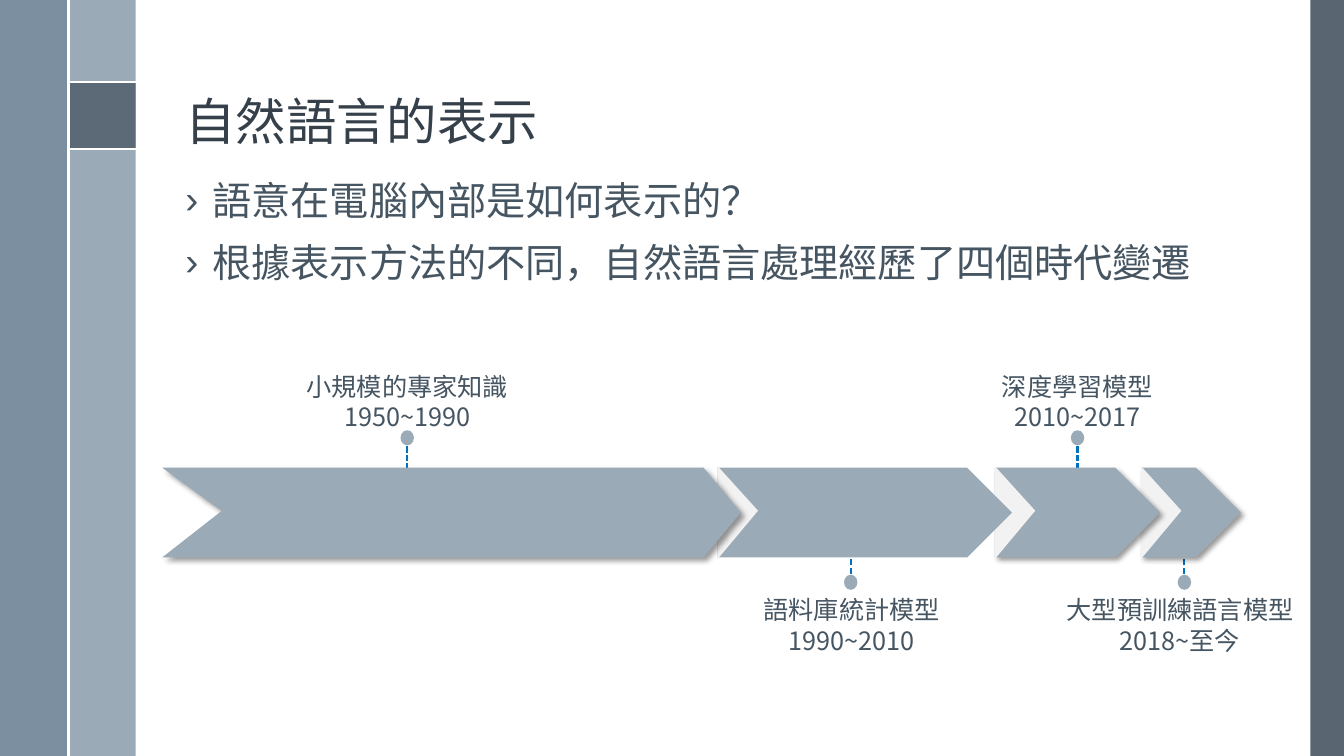
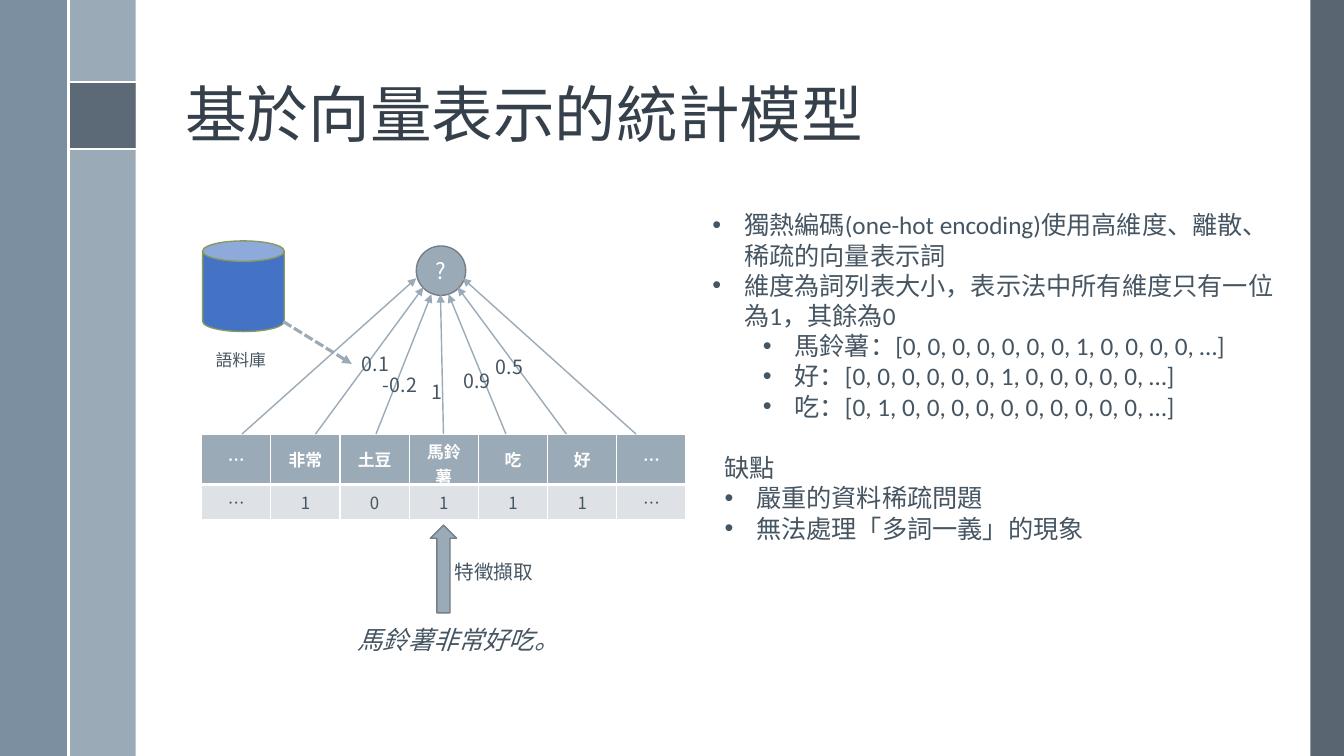
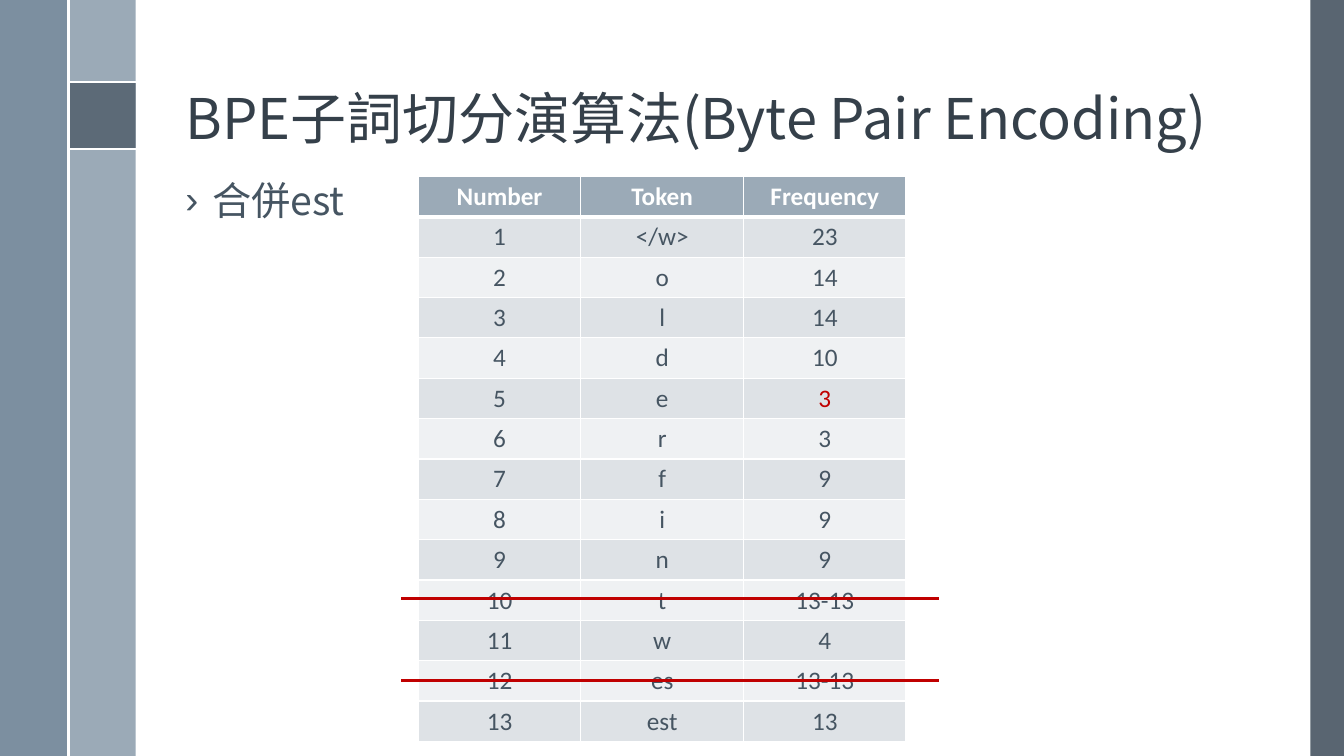
from dataclasses import dataclass, replace

from lxml.etree import SubElement
from pptx import Presentation
from pptx.dml.color import RGBColor
from pptx.enum.dml import MSO_LINE
from pptx.enum.shapes import MSO_CONNECTOR, MSO_SHAPE
from pptx.enum.text import MSO_ANCHOR, PP_ALIGN
from pptx.oxml import parse_xml
from pptx.oxml.ns import nsdecls, qn
from pptx.util import Emu, Inches, Pt

COLUMNS, ROWS = 40, 22.5  # square grid, three units to the inch


@dataclass(frozen=True)
class TextStyle:
    size: float
    latin: str
    east_asian: str
    color: str
    bold: bool = False
    italic: bool = False


class Theme:
    white = "FFFFFF"
    accent = "9BAAB7"
    rail = "6A8093"
    slate = "475562"
    outline = "737E87"
    ink = "465562"
    notch = "F2F2F2"
    bands = ("DEE2E6", "EFF1F3")
    stem = "0070C0"
    red = "C00000"
    store = "4472C4"
    store_edge = "889A60"

    sans_tc, sans_sc = "Noto Sans CJK TC", "Noto Sans CJK SC"
    title = TextStyle(44, sans_tc, sans_tc, "35404A")
    body = TextStyle(28, sans_tc, sans_tc, ink)
    label = TextStyle(18, sans_sc, sans_sc, ink)
    small = replace(label, size=14)
    tiny = replace(label, size=12)
    caption = TextStyle(14, "Arial", sans_sc, ink)
    node = replace(label, size=16, color=white)
    notes = TextStyle(18, "Calibri", sans_tc, ink)


@dataclass(frozen=True)
class Bullet:
    text: str
    margin: float
    hanging: float
    character: str = "•"


@dataclass(frozen=True)
class Era:
    name: str
    years: str
    left: float
    width: float
    stem: float
    label_center: float
    above: bool


def grid(units):
    return Emu(round(Inches(units / 3)))


def rgb(color):
    return RGBColor.from_string(color)


def style_paragraph(paragraph, style):
    font = paragraph.font
    font.size, font.name = Pt(style.size), style.latin
    font.bold, font.italic = style.bold, style.italic
    font.color.rgb = rgb(style.color)
    defaults = paragraph._p.pPr.find(qn("a:defRPr"))
    SubElement(defaults, qn("a:ea"), typeface=style.east_asian)


def add_bullet(paragraph, bullet):
    properties = paragraph._p.get_or_add_pPr()
    properties.set("marL", str(grid(bullet.margin)))
    properties.set("indent", str(-grid(bullet.hanging)))
    SubElement(properties, qn("a:buFont"), typeface="Arial")
    SubElement(properties, qn("a:buChar"), char=bullet.character)


def write(frame, items, style, align=PP_ALIGN.LEFT, line_spacing=None, space_before=0):
    """Fill a text frame with strings and Bullets, one paragraph each."""
    for index, item in enumerate(items):
        paragraph = frame.add_paragraph() if index else frame.paragraphs[0]
        if isinstance(item, Bullet):
            paragraph.text = item.text
            add_bullet(paragraph, item)
        else:
            paragraph.text = item
        paragraph.alignment = align
        if line_spacing:
            paragraph.line_spacing = line_spacing
        if index and space_before:
            paragraph.space_before = Pt(space_before)
        style_paragraph(paragraph, style)


def add_text(slide, box, items, style, anchor=MSO_ANCHOR.TOP, **layout):
    frame = slide.shapes.add_textbox(*map(grid, box)).text_frame
    frame.word_wrap = True
    frame.vertical_anchor = anchor
    write(frame, items, style, **layout)


def paint(shape, fill, line=None, opacity=None):
    shape.shadow.inherit = False
    shape.fill.solid()
    shape.fill.fore_color.rgb = rgb(fill)
    if opacity:
        color = shape._element.spPr.find(qn("a:solidFill"))[0]
        SubElement(color, qn("a:alpha"), val=str(opacity * 1000))
    if line:
        shape.line.color.rgb = rgb(line)
        shape.line.width = Pt(1)
    else:
        shape.line.fill.background()


def add_shape(slide, kind, box, fill, line=None, opacity=None):
    shape = slide.shapes.add_shape(kind, *map(grid, box))
    paint(shape, fill, line, opacity)
    return shape


def cast_shadow(shape):
    effects = shape._element.spPr.find(qn("a:effectLst"))
    effects.append(parse_xml(
        f'<a:outerShdw {nsdecls("a")} blurRad="{Pt(4)}" dist="{Pt(3)}" dir="2700000" '
        'algn="tl" rotWithShape="0"><a:srgbClr val="000000"><a:alpha val="40000"/>'
        '</a:srgbClr></a:outerShdw>'))


def add_line(slide, start, end, color, width, dashed=False, arrow=False):
    connector = slide.shapes.add_connector(
        MSO_CONNECTOR.STRAIGHT, *map(grid, (*start, *end)))
    connector.line.color.rgb = rgb(color)
    connector.line.width = Pt(width)
    if dashed:
        connector.line.dash_style = MSO_LINE.SQUARE_DOT
    properties = connector._element.spPr
    if arrow:
        SubElement(properties.find(qn("a:ln")), qn("a:tailEnd"), type="triangle")
    SubElement(properties, qn("a:effectLst"))


def set_borders(cell, top, bottom):
    properties = cell._tc.get_or_add_tcPr()
    for index, (side, width) in enumerate(zip("LRTB", (1, 1, top, bottom))):
        properties.insert(index, parse_xml(
            f'<a:ln{side} {nsdecls("a")} w="{Pt(width)}"><a:solidFill>'
            f'<a:srgbClr val="{Theme.white}"/></a:solidFill></a:ln{side}>'))


def add_table(slide, left, top, column_width, row_heights, rows, style,
              anchor=MSO_ANCHOR.TOP, highlights=()):
    """Draw a banded table; highlights holds (row, column) pairs set in red."""
    count = len(rows[0])
    table = slide.shapes.add_table(
        len(rows), count, grid(left), grid(top),
        grid(column_width * count), grid(sum(row_heights))).table
    for column in table.columns:
        column.width = grid(column_width)
    header_style = replace(style, color=Theme.white, bold=True)
    for r, values in enumerate(rows):
        table.rows[r].height = grid(row_heights[r])
        for c, value in enumerate(values):
            cell = table.cell(r, c)
            cell.vertical_anchor = anchor
            cell.fill.solid()
            cell.fill.fore_color.rgb = rgb(Theme.bands[(r - 1) % 2] if r else Theme.accent)
            set_borders(cell, top=3 if r == 1 else 1, bottom=1 if r else 3)
            cell_style = style if r else header_style
            if (r, c) in highlights:
                cell_style = replace(style, color=Theme.red)
            write(cell.text_frame, [value], cell_style, align=PP_ALIGN.CENTER)


def add_framed_slide(presentation, title, title_size):
    """Add a blank slide with the side rails and the title."""
    slide = presentation.slides.add_slide(presentation.slide_layouts[6])
    inner, marker, rail = 2.04, 2.43, 2
    for box, color, opacity in (
        ((COLUMNS - 1, 0, 1, ROWS), Theme.slate, 90),
        ((inner, 0, rail, ROWS), Theme.accent, None),
        ((0, 0, rail, ROWS), Theme.rail, 88),
        ((inner, marker, rail, rail), Theme.slate, 75),
    ):
        add_shape(slide, MSO_SHAPE.RECTANGLE, box, color, opacity=opacity)
    for y in (marker, marker + rail):
        add_line(slide, (inner, y), (inner + rail, y), Theme.white, 1.5)
    add_line(slide, (inner, 0), (inner, ROWS), Theme.white, 1.5)
    add_text(slide, (5.22, 0.57, 32.1, 4.08), [title],
             replace(Theme.title, size=title_size), MSO_ANCHOR.BOTTOM, line_spacing=0.9)
    return slide


def add_body(slide, *lines):
    add_text(slide, (5.22, 5.25, 32.1, 15), [Bullet(line, 0.81, 0.81, "›") for line in lines],
             Theme.body, line_spacing=0.9, space_before=14)


def add_first_arrow(slide, top, height):
    middle, bottom = top + height / 2, top + height
    outline = [(4.83, top), (20.94, top), (22.05, middle),
               (20.94, bottom), (4.83, bottom), (6.6, middle - 0.05)]
    points = [(grid(x), grid(y)) for x, y in outline]
    builder = slide.shapes.build_freeform(*points[0])
    builder.add_line_segments(points[1:], close=True)
    arrow = builder.convert_to_shape()
    paint(arrow, Theme.accent)
    cast_shadow(arrow)


def add_plate(slide, left, top, width, height):
    """Add a pentagon whose left edge is notched by a pale triangle."""
    plate = add_shape(slide, MSO_SHAPE.PENTAGON, (left, top, width, height), Theme.accent)
    base, depth = 2.76, 1.2
    notch = add_shape(slide, MSO_SHAPE.ISOSCELES_TRIANGLE,
                      (left + (depth - base) / 2, top + (height - depth) / 2, base, depth),
                      Theme.notch)
    notch.rotation = 90
    notch.adjustments[0] = 0.48
    return plate


def add_timeline(slide, eras):
    top, height = 13.92, 2.67
    dot_width, dot_height = 0.4, 0.45
    label_width, label_height = 9, 2.13

    def dot_y(era):
        return 13.03 if era.above else 17.33

    for era in eras:
        add_line(slide, (era.stem, dot_y(era)), (era.stem, top + height / 2),
                 Theme.stem, 1.5, dashed=True)
        add_text(slide, (era.label_center - label_width / 2, 10.89 if era.above else 17.55,
                         label_width, label_height),
                 [era.name, era.years], Theme.label, align=PP_ALIGN.CENTER)
    for era in reversed(eras[1:]):
        plate = add_plate(slide, era.left, top, era.width, height)
        if era is not eras[1]:
            cast_shadow(plate)
    add_first_arrow(slide, top, height)
    for era in eras:
        add_shape(slide, MSO_SHAPE.OVAL,
                  (era.stem - dot_width / 2, dot_y(era) - dot_height / 2, dot_width, dot_height),
                  Theme.accent)


def build_history(presentation):
    slide = add_framed_slide(presentation, "自然語言的表示", 36)
    add_body(slide, "語意在電腦內部是如何表示的？",
             "根據表示方法的不同，自然語言處理經歷了四個時代變遷")
    add_timeline(slide, [
        Era("小規模的專家知識", "1950~1990", 4.83, 17.22, 12.12, 12.12, True),
        Era("語料庫統計模型", "1990~2010", 21.36, 8.76, 25.32, 25.35, False),
        Era("深度學習模型", "2010~2017", 29.61, 4.92, 32.07, 32.07, True),
        Era("大型預訓練語言模型", "2018~至今", 33.96, 2.97, 35.25, 35.12, False),
    ])


def add_feature_network(slide):
    table_top = 12.92
    words = ["…", "非常", "土豆", "馬鈴薯", "吃", "好", "…"]
    values = ["…", "1", "0", "1", "1", "1", "…"]
    add_table(slide, 6, table_top, 2.06, [1.2, 1.05], [words, values],
              Theme.tiny, MSO_ANCHOR.MIDDLE)

    node = add_shape(slide, MSO_SHAPE.OVAL, (12.39, 7.32, 1.47, 1.47),
                     Theme.accent, Theme.outline)
    frame = node.text_frame
    frame.margin_left = frame.margin_right = 0
    frame.vertical_anchor = MSO_ANCHOR.MIDDLE
    write(frame, ["?"], Theme.node, align=PP_ALIGN.CENTER)

    starts = (7.2, 9.39, 11.19, 13.2, 15.06, 16.86, 18.93)
    ends = ((12.39, 8.28), (12.6, 8.55), (12.84, 8.76), (13.11, 8.76),
            (13.35, 8.76), (13.62, 8.55), (13.77, 8.28))
    for x, end in zip(starts, ends):
        add_line(slide, (x, table_top), end, Theme.accent, 1, arrow=True)
    for weight, x, y in (("0.1", 10.47, 10.32), ("-0.2", 11.1, 10.95), ("1", 12.54, 11.16),
                         ("0.9", 13.5, 10.83), ("0.5", 14.46, 10.41)):
        add_text(slide, (x, y, 2, 1.02), [weight], Theme.small)


def build_vector_model(presentation):
    slide = add_framed_slide(presentation, "基於向量表示的統計模型", 44)
    add_feature_network(slide)
    add_shape(slide, MSO_SHAPE.CAN, (6.03, 7.17, 2.43, 2.7), Theme.store, Theme.store_edge)
    add_shape(slide, MSO_SHAPE.UP_ARROW, (12.81, 15.63, 0.78, 2.61),
              Theme.accent, Theme.outline)
    add_line(slide, (8.43, 9.57), (10.47, 10.83), Theme.accent, 2.25, dashed=True, arrow=True)
    add_text(slide, (6.12, 10.26, 2.4, 0.9), ["語料庫"], Theme.tiny)
    add_text(slide, (13.23, 16.53, 3.3, 1.02), ["特徵擷取"], Theme.caption)
    add_text(slide, (10.35, 18.42, 7.5, 1.2), ["馬鈴薯非常好吃。"],
             replace(Theme.label, italic=True))

    hanging, nested = 0.94, 2.44
    add_text(slide, (20.91, 6.09, 17.46, 7.56), [
        Bullet("獨熱編碼(one-hot encoding)使用高維度、離散、稀疏的向量表示詞", hanging, hanging),
        Bullet("維度為詞列表大小，表示法中所有維度只有一位為1，其餘為0", hanging, hanging),
        Bullet("馬鈴薯：[0, 0, 0, 0, 0, 0, 0, 1, 0, 0, 0, 0, …]", nested, hanging),
        Bullet("好：[0, 0, 0, 0, 0, 0, 1, 0, 0, 0, 0, 0, …]", nested, hanging),
        Bullet("吃：[0, 1, 0, 0, 0, 0, 0, 0, 0, 0, 0, 0, …]", nested, hanging),
    ], Theme.notes)
    add_text(slide, (21.27, 13.32, 17, 3.03), [
        "缺點",
        Bullet("嚴重的資料稀疏問題", hanging, hanging),
        Bullet("無法處理「多詞一義」的現象", hanging, hanging),
    ], Theme.notes)


def build_byte_pairs(presentation):
    slide = add_framed_slide(presentation, "BPE子詞切分演算法(Byte Pair Encoding)", 40)
    add_body(slide, "合併est")
    tokens = ["</w>", "o", "l", "d", "e", "r", "f", "i", "n", "t", "w", "es", "est"]
    frequencies = ["23", "14", "14", "10", "3", "3", "9", "9", "9", "13-13", "4", "13-13", "13"]
    rows = [("Number", "Token", "Frequency")]
    rows += [(str(number), token, frequency) for number, (token, frequency)
             in enumerate(zip(tokens, frequencies), start=1)]
    add_table(slide, 12.45, 5.25, 4.84, [1.14] * len(rows), rows, Theme.notes,
              highlights={(5, 2)})
    for y in (17.82, 20.25):
        add_line(slide, (11.94, y), (27.96, y), Theme.red, 2.5)


def main():
    presentation = Presentation()
    presentation.slide_width, presentation.slide_height = grid(COLUMNS), grid(ROWS)
    build_history(presentation)
    build_vector_model(presentation)
    build_byte_pairs(presentation)
    presentation.save("out.pptx")


if __name__ == "__main__":
    main()
